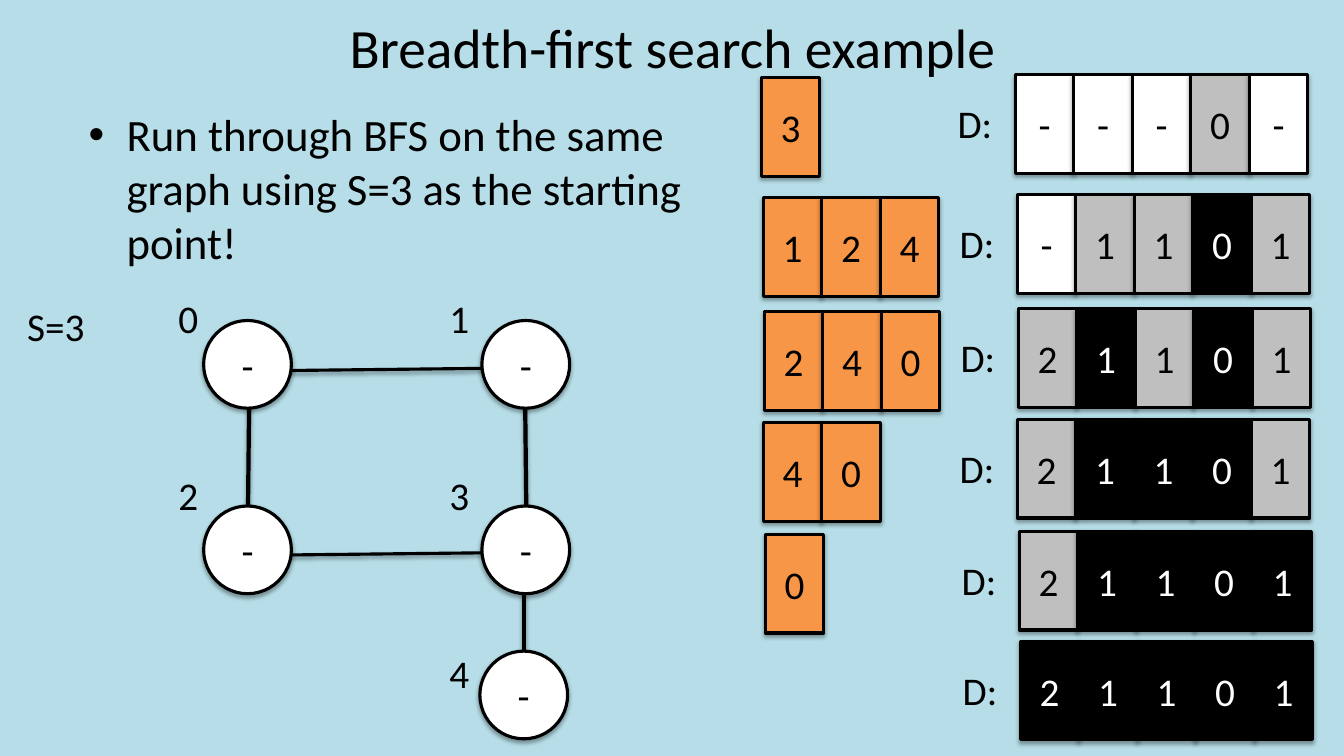
"""Build the breadth-first search example slide."""
from lxml import etree
from pptx import Presentation, util as u
from pptx.dml import color
from pptx.enum import shapes, text
from pptx.oxml import ns

TITLE = "Breadth-first search example"
TASK = "Run through BFS on the same \vgraph using S=3 as the starting \vpoint!"
START = "S=3"
NODES = {
    "0": {"circle": (2.02, 3.18), "label": (1.67, 2.87)},
    "1": {"circle": (4.78, 3.18), "label": (4.36, 2.87)},
    "2": {"circle": (2.02, 5.02), "label": (1.67, 4.63)},
    "3": {"circle": (4.78, 5.02), "label": (4.36, 4.63)},
    "4": {"circle": (4.76, 6.46), "label": (4.36, 6.39)},
}
EDGES = [
    ((5.2, 3.2), (5.22, 5.02), 3),
    ((2.48, 3.17), (2.46, 5.02), 3),
    ((2.48, 3.68), (5.2, 3.65), 2.25),
    ((2.48, 5.51), (5.2, 5.48), 2.25),
    ((5.2, 5.48), (5.2, 6.9), 3),
]
STEPS = [
    {"queue": "3", "distances": "---0-", "states": "wwwgw", "at": (10.07, 0.74)},
    {"queue": "124", "distances": "-1101", "states": "wggbg", "at": (10.09, 1.93)},
    {"queue": "240", "distances": "21101", "states": "gbgbg", "at": (10.1, 3.06)},
    {"queue": "40", "distances": "21101", "states": "gbbbg", "at": (10.09, 4.16)},
    {"queue": "0", "distances": "21101", "states": "gbbbb", "at": (10.11, 5.27)},
    {"queue": "", "distances": "21101", "states": "bbbbb", "at": (10.12, 6.36)},
]
BLACK, WHITE, GRAY, ORANGE = "000000", "FFFFFF", "BFBFBF", "F79646"
STATE_FILLS = {"w": WHITE, "g": GRAY, "b": BLACK}
CELL_WIDTH, CELL_HEIGHT, DIAMETER = 0.58, 0.98, 0.87
QUEUE_SHIFT = (-2.52, 0.03)
LABEL_SHIFT = (-0.67, 0.2)


def rgb(value):
    return color.RGBColor.from_string(value)


def inches(*values):
    return [u.Inches(value) for value in values]


def write(frame, words, size=28, ink=BLACK, align=None, **frame_format):
    frame.text = words
    for name, value in frame_format.items():
        setattr(frame, name, value)
    paragraph = frame.paragraphs[0]
    paragraph.alignment = align
    for run in paragraph.runs:
        for name, value in {"name": "Calibri", "size": u.Pt(size)}.items():
            setattr(run.font, name, value)
        run.font.color.rgb = rgb(ink)


def draw_line(shape, width, opacity, distance):
    shape.line.color.rgb = rgb(BLACK)
    shape.line.width = u.Pt(width)
    effects = etree.SubElement(shape._element.spPr, ns.qn("a:effectLst"))
    shadow = etree.SubElement(effects, ns.qn("a:outerShdw"), blurRad=str(u.Pt(3.1)),
                              dist=str(u.Pt(distance)), dir="5400000", rotWithShape="0")
    shade = etree.SubElement(shadow, ns.qn("a:srgbClr"), val=BLACK)
    etree.SubElement(shade, ns.qn("a:alpha"), val=str(opacity * 1000))


def add_box(parent, kind, box, words, fill, ink=BLACK):
    shape = parent.add_shape(kind, *inches(*box))
    shape.fill.solid()
    shape.fill.fore_color.rgb = rgb(fill)
    draw_line(shape, 2.25, 35, 1.8)
    write(shape.text_frame, words, ink=ink, align=text.PP_ALIGN.CENTER,
          vertical_anchor=text.MSO_ANCHOR.MIDDLE)
    return shape


def add_label(parent, left, top, width, words):
    label = parent.add_textbox(*inches(left, top, width, 0.57))
    write(label.text_frame, words, word_wrap=False,
          auto_size=text.MSO_AUTO_SIZE.SHAPE_TO_FIT_TEXT)


def outline_text(shape):
    properties = shape.text_frame.paragraphs[0].runs[0].font._element
    outline = etree.Element(ns.qn("a:ln"), w=str(u.Pt(0.75)))
    fill = etree.SubElement(outline, ns.qn("a:solidFill"))
    etree.SubElement(fill, ns.qn("a:srgbClr"), val=BLACK)
    properties.insert(0, outline)


def add_cells(parent, left, top, values, fills):
    for index, (value, fill) in enumerate(zip(values, fills)):
        box = (left + index * CELL_WIDTH, top, CELL_WIDTH, CELL_HEIGHT)
        ink = WHITE if fill == BLACK else BLACK
        add_box(parent, shapes.MSO_SHAPE.RECTANGLE, box, value, fill, ink)


def add_graph(parent):
    for begin, end, width in EDGES:
        edge = parent.add_connector(shapes.MSO_CONNECTOR.STRAIGHT, *inches(*begin, *end))
        draw_line(edge, width, 38, 1.6)
    for name, node in NODES.items():
        box = (*node["circle"], DIAMETER, DIAMETER)
        outline_text(add_box(parent, shapes.MSO_SHAPE.OVAL, box, "-", WHITE))
        add_label(parent, *node["label"], 0.4, name)


def add_step(parent, step):
    left, top = step["at"]
    add_cells(parent, left + QUEUE_SHIFT[0], top + QUEUE_SHIFT[1], step["queue"],
              [ORANGE] * len(step["queue"]))
    array = parent.add_group_shape().shapes
    add_cells(array, left, top, step["distances"],
              [STATE_FILLS[state] for state in step["states"]])
    add_label(array, left + LABEL_SHIFT[0], top + LABEL_SHIFT[1], 0.55, "D:")


def fill_placeholder(placeholder, box, words, size, align=None):
    for name, value in zip(("left", "top", "width", "height"), inches(*box)):
        setattr(placeholder, name, value)
    write(placeholder.text_frame, words, size, align=align,
          auto_size=text.MSO_AUTO_SIZE.NONE)


def main():
    presentation = Presentation()
    presentation.slide_width, presentation.slide_height = inches(13.33, 7.5)
    slide = presentation.slides.add_slide(presentation.slide_layouts[1])
    slide.background.fill.solid()
    slide.background.fill.fore_color.rgb = rgb("B7DEE8")
    fill_placeholder(slide.shapes.title, (2.17, 0.06, 9, 0.8), TITLE, 39.6,
                     text.PP_ALIGN.CENTER)
    fill_placeholder(slide.placeholders[1], (0.78, 1.01, 12, 6.24), TASK, 32)
    add_label(slide.shapes, 0.17, 2.95, 0.78, START)
    add_graph(slide.shapes.add_group_shape().shapes)
    for step in STEPS:
        add_step(slide.shapes, step)
    presentation.save("out.pptx")


if __name__ == "__main__":
    main()
